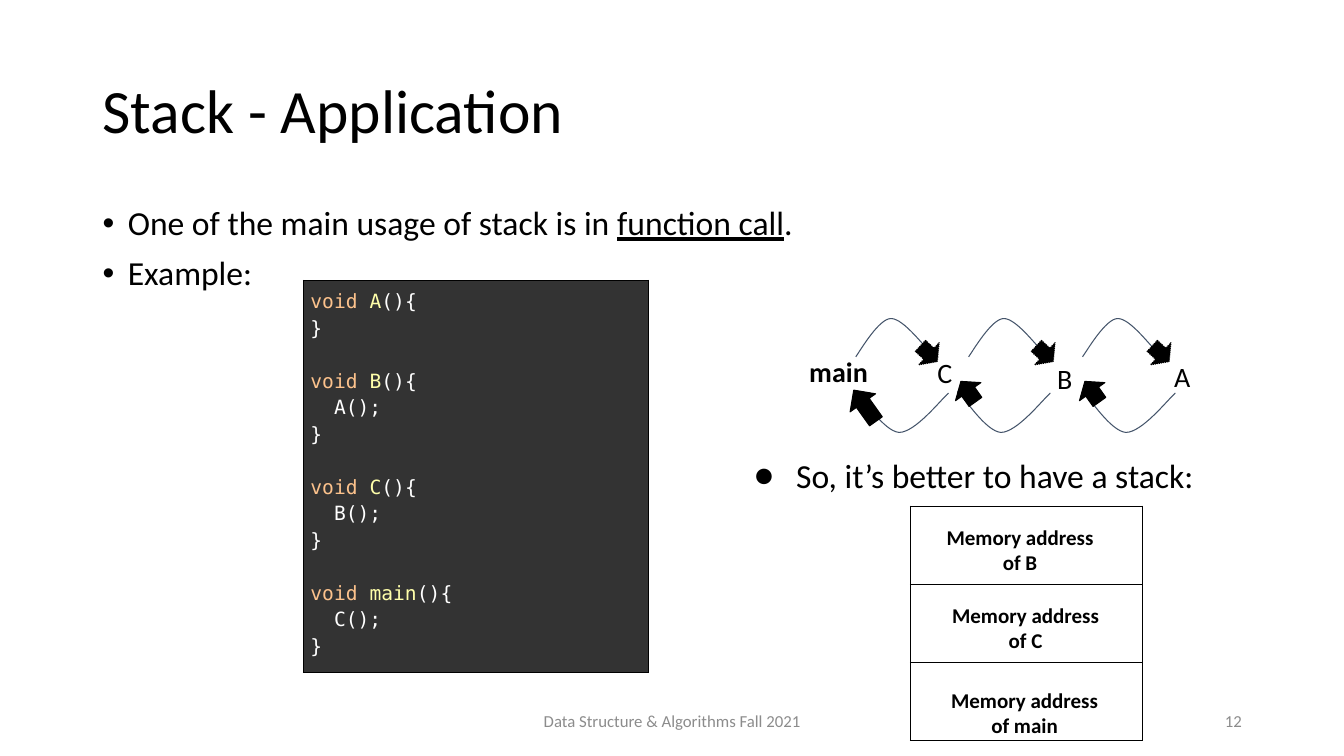
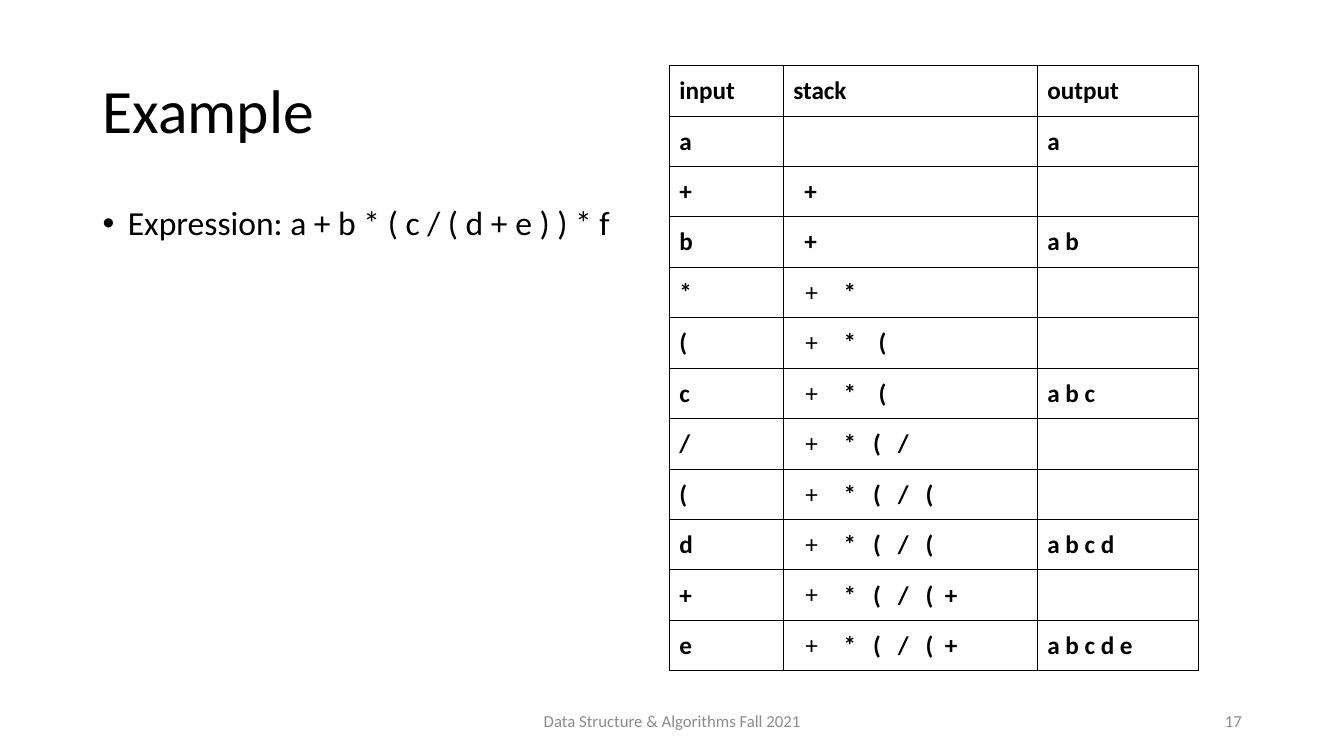
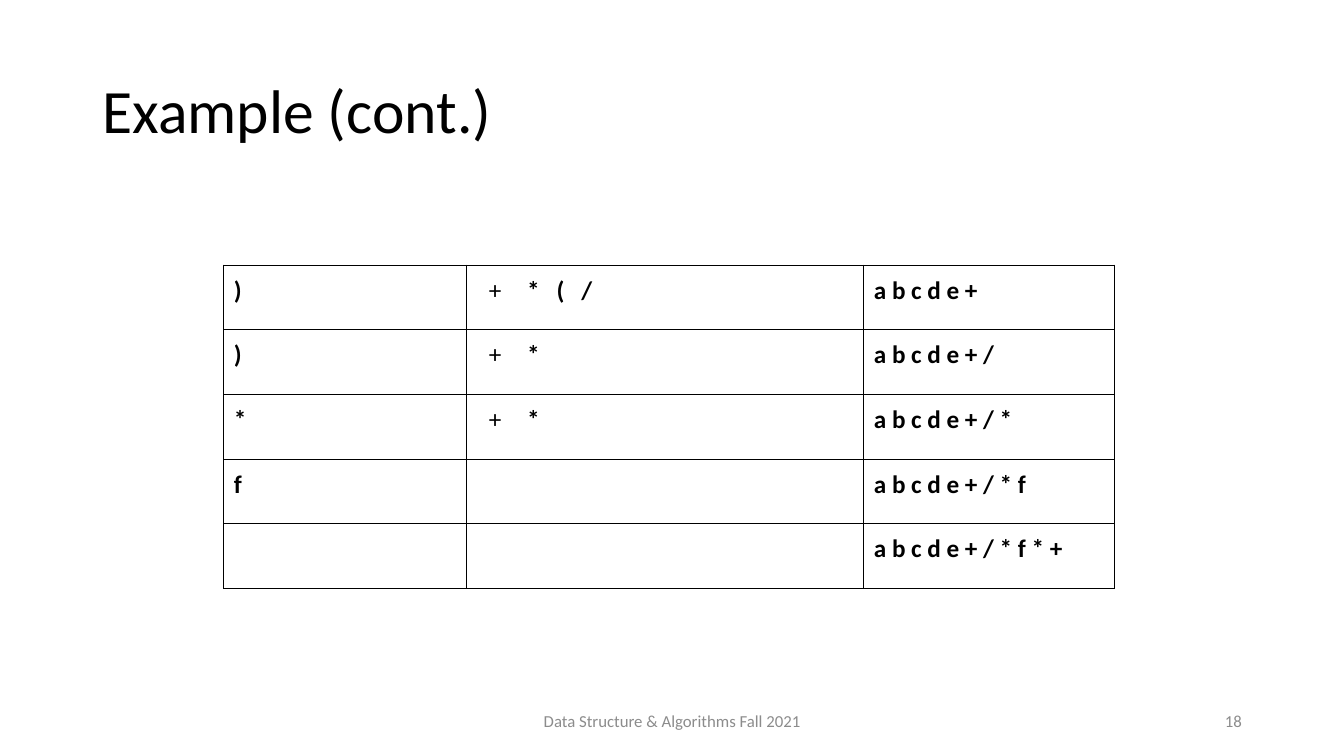
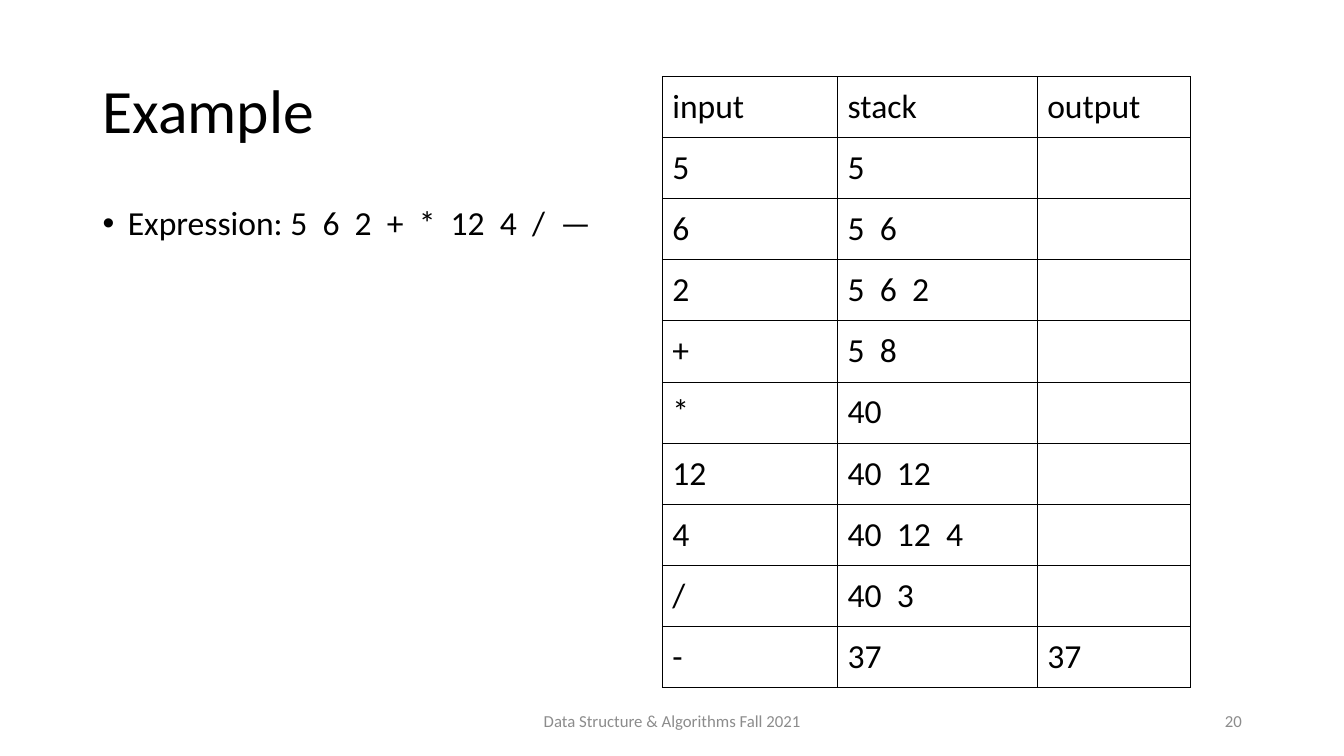
from dataclasses import dataclass

from lxml import etree
from pptx import Presentation
from pptx.dml.color import RGBColor
from pptx.enum.dml import MSO_LINE
from pptx.enum.shapes import MSO_SHAPE
from pptx.enum.text import MSO_ANCHOR, PP_ALIGN
from pptx.oxml.ns import qn
from pptx.util import Emu, Pt

LEFT, CENTER, RIGHT = PP_ALIGN.LEFT, PP_ALIGN.CENTER, PP_ALIGN.RIGHT
TOP, MIDDLE = MSO_ANCHOR.TOP, MSO_ANCHOR.MIDDLE
RIGHT_ARROW = MSO_SHAPE.RIGHT_ARROW
DOTTED = MSO_LINE.ROUND_DOT
EMU_PER_PX = 9144  # 100 px to the inch


@dataclass(frozen=True)
class Theme:
    font: str = "Calibri"
    bullet_font: str = "Arial"
    code_font: str = "DejaVu Sans Mono"
    ink: str = "000000"
    muted: str = "8C8C8C"
    curve: str = "44546A"
    code_back: str = "333333"
    code_plain: str = "FFFFFF"
    code_keyword: str = "FCC28C"
    code_name: str = "FFFFAA"
    title: int = 44
    body: int = 24
    label: int = 20
    cell: int = 18
    memory: int = 15
    code: int = 14
    footer: int = 12
    hairline: float = 0.75
    wide_gap: int = 12
    operator_gap: int = 8
    narrow_gap: int = 4
    number_gap: float = 5.4


THEME = Theme()
FOOTER = "Data Structure & Algorithms Fall 2021"

# Whole-pixel boxes: left, top, width, height
TITLE_BOX = (92, 40, 1150, 145)
BODY_BOX = (92, 200, 1150, 476)
FOOTER_BOX = (442, 695, 450, 40)
NUMBER_BOX = (942, 695, 300, 40)

# Start point, then two controls and an end for each cubic segment
CALL_ARC = ((0, 38), (5, 31), (23, 0), (35, 0), (48, 0), (69, 30), (76, 35))
RETURN_ARC = ((0, 0), (7, 7), (28, 40), (43, 41), (59, 41), (84, 9), (92, 2))

INFIX_ROWS = (
    ("input", "stack", "output"),
    ("a", "", "a"),
    ("+", "+", ""),
    ("b", "+", "a b"),
    ("*", "+ *", ""),
    ("(", "+ * (", ""),
    ("c", "+ * (", "a b c"),
    ("/", "+ * ( /", ""),
    ("(", "+ * ( / (", ""),
    ("d", "+ * ( / (", "a b c d"),
    ("+", "+ * ( / ( +", ""),
    ("e", "+ * ( / ( +", "a b c d e"),
)
INFIX_END_ROWS = (
    (")", "+ * ( /", "a b c d e +"),
    (")", "+ *", "a b c d e + /"),
    ("*", "+ *", "a b c d e + / *"),
    ("f", "", "a b c d e + / * f"),
    ("", "", "a b c d e + / * f * +"),
)
POSTFIX_ROWS = (
    ("input", "stack", "output"),
    ("5", "5", ""),
    ("6", "5 6", ""),
    ("2", "5 6 2", ""),
    ("+", "5 8", ""),
    ("*", "40", ""),
    ("12", "40 12", ""),
    ("4", "40 12 4", ""),
    ("/", "40 3", ""),
    ("-", "37", "37"),
)


# Text helpers
def px(length):
    return Emu(round(length * EMU_PER_PX))


def rgb(value):
    return RGBColor.from_string(value)


def style(para, size, bold=False, color=THEME.ink, font=THEME.font, align=LEFT):
    para.alignment = align
    para.font.size, para.font.bold = Pt(size), bold
    para.font.name, para.font.color.rgb = font, rgb(color)


def add_span(para, text):
    span = para.add_run()
    span.text = text
    return span


def add_spaced(para, text, gap, gap_before_plus):
    """Write words with each space widened by a gap in points."""
    for index, word in enumerate(text.split()):
        if index:
            space = add_span(para, " ")
            points = gap_before_plus if word == "+" else gap
            space._r.get_or_add_rPr().set("spc", str(round(points * 100)))
        add_span(para, word)


def indent(para, margin, hanging=0, bullet=None, bullet_font=THEME.font):
    props = para._p.get_or_add_pPr()
    props.set("marL", str(px(margin)))
    props.set("indent", str(px(-hanging)))
    if bullet:
        etree.SubElement(props, qn("a:buFont")).set("typeface", bullet_font)
        etree.SubElement(props, qn("a:buChar")).set("char", bullet)


def set_insets(target, side, end):
    target.margin_left = target.margin_right = px(side)
    target.margin_top = target.margin_bottom = px(end)


def add_box(page, box, anchor=TOP, inset=5):
    frame = page.shapes.add_textbox(*map(px, box)).text_frame
    frame.word_wrap = True
    frame.vertical_anchor = anchor
    set_insets(frame, 10, inset)
    return frame


def add_label(page, box, text, size, anchor=TOP, inset=5, **look):
    para = add_box(page, box, anchor, inset).paragraphs[0]
    style(para, size, **look)
    add_span(para, text)
    return para


# Parts shared by all slides
def add_page(deck, title, number):
    page = deck.slides.add_slide(deck.slide_layouts[6])
    add_label(page, TITLE_BOX, title, THEME.title, MIDDLE).line_spacing = 0.9
    for box, text, align in ((FOOTER_BOX, FOOTER, CENTER), (NUMBER_BOX, str(number), RIGHT)):
        add_label(page, box, text, THEME.footer, MIDDLE, color=THEME.muted, align=align)
    return page


def add_bullets(page, box, count):
    frame = add_box(page, box)
    paras = [frame.paragraphs[0]] + [frame.add_paragraph() for _ in range(count - 1)]
    for para in paras:
        indent(para, 25, 25, "•", THEME.bullet_font)
        style(para, THEME.body)
        para.line_spacing, para.space_before = 0.9, Pt(10)
    return paras


# Tables
def set_borders(cell):
    props = cell._tc.get_or_add_tcPr()
    for index, side in enumerate(("a:lnL", "a:lnR", "a:lnT", "a:lnB")):
        line = etree.Element(qn(side), w=str(Pt(THEME.hairline)))
        fill = etree.SubElement(line, qn("a:solidFill"))
        etree.SubElement(fill, qn("a:srgbClr")).set("val", THEME.ink)
        props.insert(index, line)


def add_grid(page, left, top, widths, height, row_count):
    """Add a ruled table whose rows share the height equally."""
    frame = page.shapes.add_table(row_count, len(widths), px(left), px(top),
                                  px(sum(widths)), px(height))
    table = frame.table
    table.first_row = table.horz_banding = False
    for column, width in zip(table.columns, widths):
        column.width = px(width)
    for row in table.rows:
        row.height = px(height / row_count)
    for cell in table.iter_cells():
        cell.fill.background()
        set_borders(cell)
    return table


def write_operators(para, text):
    """Show an operator stack, its bottom item as a hanging bullet."""
    bottom, _, rest = text.partition(" ")
    if rest:
        indent(para, 50, 38, bottom)
    else:
        indent(para, 11)
    gap = THEME.wide_gap if rest == "* (" else THEME.operator_gap
    add_spaced(para, rest or bottom, gap, THEME.narrow_gap)


def write_numbers(para, text):
    add_spaced(para, text, THEME.number_gap, THEME.number_gap)


def add_trace(page, corner, widths, height, rows, write_stack, size, bold):
    table = add_grid(page, *corner, widths, height, len(rows))
    for row, texts in zip(table.rows, rows):
        for index, (cell, text) in enumerate(zip(row.cells, texts)):
            if not text:
                continue
            set_insets(cell, 10, 10)
            para = cell.text_frame.paragraphs[0]
            if index == 1 and text != "stack":
                write_stack(para, text)
            else:
                add_span(para, text)
            style(para, size, bold)


# Parts of the application slide
def add_code(page, left, top, width, height):
    cell = add_grid(page, left, top, (width,), height, 1).cell(0, 0)
    cell.fill.solid()
    cell.fill.fore_color.rgb = rgb(THEME.code_back)
    set_insets(cell, 7, 7)
    para = cell.text_frame.paragraphs[0]
    style(para, THEME.code, color=THEME.code_plain, font=THEME.code_font)
    para.line_spacing = 1.15
    for name, callee in (("A", ""), ("B", "A"), ("C", "B"), ("main", "C")):
        if name != "A":
            para.add_line_break()
            para.add_line_break()
        add_span(para, "void").font.color.rgb = rgb(THEME.code_keyword)
        add_span(para, " ")
        add_span(para, name).font.color.rgb = rgb(THEME.code_name)
        add_span(para, "(){")
        para.add_line_break()
        if callee:
            add_span(para, f"  {callee}();")
            para.add_line_break()
        add_span(para, "}")


def add_arc(page, left, top, curve):
    points = [(px(left + x), px(top + y)) for x, y in curve]
    builder = page.shapes.build_freeform(*points[0])
    builder.add_line_segments(points[1:], close=False)
    arc = builder.convert_to_shape()
    # Join each three points into one cubic segment
    outline = next(arc._element.iter(qn("a:path")))
    segments = outline.findall(qn("a:lnTo"))
    for start in range(0, len(segments), 3):
        cubic = etree.SubElement(outline, qn("a:cubicBezTo"))
        for segment in segments[start:start + 3]:
            cubic.append(segment[0])
            outline.remove(segment)
    arc.shadow.inherit = False
    arc.fill.background()
    arc.line.color.rgb = rgb(THEME.curve)
    arc.line.width = Pt(THEME.hairline)


def add_arrow(page, box, angle, dash=None):
    arrow = page.shapes.add_shape(RIGHT_ARROW, *map(px, box))
    arrow.rotation = angle
    arrow.shadow.inherit = False
    arrow.fill.solid()
    arrow.fill.fore_color.rgb = rgb(THEME.ink)
    arrow.line.color.rgb = rgb(THEME.ink)
    arrow.line.width = Pt(THEME.hairline)
    if dash:
        arrow.line.dash_style = dash


def add_call_chain(page, left, top):
    for name, x, y, width in (("main", 0, 26, 125), ("C", 127, 27, 41),
                              ("B", 246, 33, 36), ("A", 362, 31, 36)):
        add_label(page, (left + x, top + y, width, 54), name, THEME.label,
                  inset=10, bold=name == "main")
    for call_x, return_x in ((56, 56), (168, 157), (281, 281)):
        add_arc(page, left + call_x, top, CALL_ARC)
        add_arc(page, left + return_x, top + 72, RETURN_ARC)
    for index in range(3):
        add_arrow(page, (left + 117 + 115 * index, top + 20, 23, 30), 42.8, DOTTED)
    for x, y, width in ((278, 57, 25), (155, 57, 25), (46, 71, 38)):
        add_arrow(page, (left + x, top + y, width, 31), 234.6)


def add_memory_stack(page, left, top):
    add_grid(page, left, top, (230,), 233, 3)
    for name, x, y, width in (("B", 17, 8, 184), ("C", 31, 86, 167), ("main", 30, 170, 167)):
        add_label(page, (left + x, top + y, width, 71), f"Memory address of {name}",
                  THEME.memory, inset=10, bold=True, align=CENTER)


# Slides
def add_application_page(deck):
    page = add_page(deck, "Stack - Application", 12)
    usage, example = add_bullets(page, BODY_BOX, 2)
    add_span(usage, "One of the main usage of stack is in ")
    add_span(usage, "function call").font.underline = True
    add_span(usage, ".")
    add_span(example, "Example:")
    add_call_chain(page, 793, 316)
    add_code(page, 301, 278, 342, 388)
    conclusion = add_box(page, (730, 441, 497, 61), inset=10).paragraphs[0]
    indent(conclusion, 50, 42, "●")
    style(conclusion, THEME.body)
    add_span(conclusion, "So, it’s better to have a stack:")
    add_memory_stack(page, 903, 502)


def add_infix_page(deck):
    page = add_page(deck, "Example", 17)
    add_span(add_bullets(page, BODY_BOX, 1)[0], "Expression: a + b * ( c / ( d + e ) ) * f")
    add_trace(page, (664, 65), (113, 252, 160), 599, INFIX_ROWS,
              write_operators, THEME.cell, True)


def add_infix_end_page(deck):
    page = add_page(deck, "Example (cont.)", 18)
    add_trace(page, (222, 263), (241, 394, 249), 321, INFIX_END_ROWS,
              write_operators, THEME.cell, True)


def add_postfix_page(deck):
    page = add_page(deck, "Example", 20)
    para = add_bullets(page, BODY_BOX, 1)[0]
    add_span(para, "Expression: ")
    write_numbers(para, "5 6 2 + * 12 4 / —")
    add_trace(page, (657, 76), (174, 198, 152), 606, POSTFIX_ROWS,
              write_numbers, THEME.body, False)


def main():
    deck = Presentation()
    deck.slide_height = px(750)
    deck.slide_width = deck.slide_height * 16 // 9
    add_application_page(deck)
    add_infix_page(deck)
    add_infix_end_page(deck)
    add_postfix_page(deck)
    deck.save("out.pptx")


if __name__ == "__main__":
    main()
